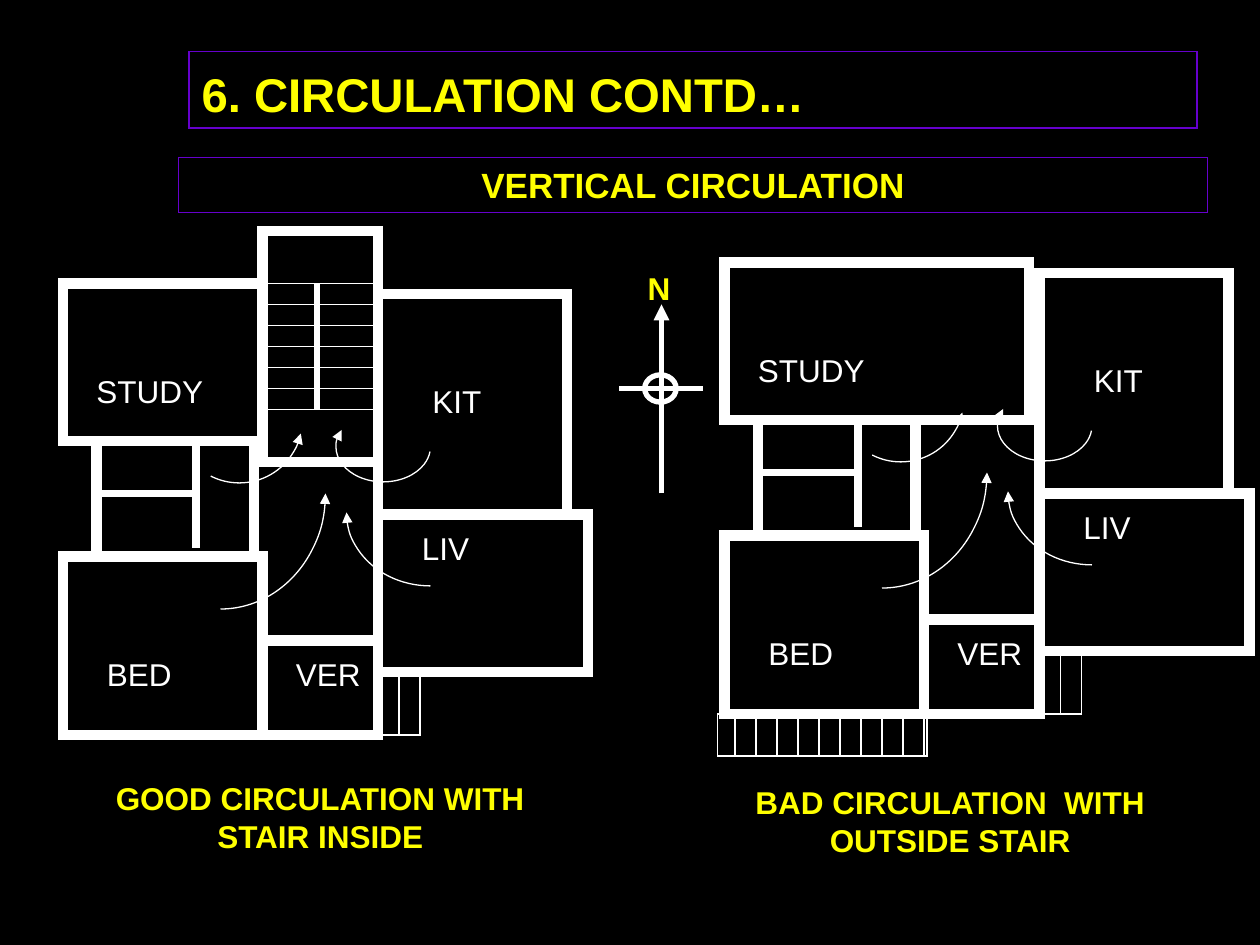
from dataclasses import dataclass

from lxml.etree import SubElement
from pptx import Presentation
from pptx.dml.color import RGBColor
from pptx.enum.shapes import MSO_CONNECTOR as Connector, MSO_SHAPE as Shape
from pptx.enum.text import MSO_ANCHOR as Anchor, MSO_AUTO_SIZE as AutoSize, PP_ALIGN as Align
from pptx.oxml.ns import qn
from pptx.util import Cm, Pt

BLACK = RGBColor(0x00, 0x00, 0x00)
WHITE = RGBColor(0xFF, 0xFF, 0xFF)
YELLOW = RGBColor(0xFF, 0xFF, 0x00)
PURPLE = RGBColor(0x66, 0x00, 0xCC)

MODULE = 2.54 / 12
WALL, PARTITION, BOLD_LINE, THIN_LINE = 6, 4.5, 3, 0.75
LABEL_HEIGHT = 4.8

ROOMS = [(3.2, 20, 15, 11), (0, 31, 19, 17), (30, 6, 18, 21),
         (30, 27, 20, 15), (19, 39, 11, 9)]
ROOM_LABELS = [("STUDY", 2, 12.8, 15), ("KIT", 34, 13.8, 8), ("BED", 3, 39.8, 11),
               ("VER", 21, 39.8, 11), ("LIV", 33, 27.8, 10)]
ROUTES = [((27, 19.8, 16, 14), 90, 180, "tailEnd"),
          ((10.8, 12, 12, 12), 12.5, 117, "headEnd"),
          ((26, 17.2, 9, 6.7), 6, 202, "tailEnd"),
          ((5, 14, 20, 22), 0, 90, "headEnd")]


@dataclass
class Box:
    """A region of the page whose parts are placed in plan modules."""
    page: object
    left: float
    top: float

    def place(self, left, top, width, height):
        """Turn a local rectangle in modules into page lengths."""
        return [Cm(MODULE * value)
                for value in (self.left + left, self.top + top, width, height)]


def style_line(item, color, weight, arrow=None):
    """Give an outline its colour, weight, square corners and arrowhead."""
    item.line.color.rgb = color
    item.line.width = Pt(weight)
    outline = item._element.spPr.find(qn("a:ln"))
    SubElement(outline, qn("a:miter"), lim="800000")
    if arrow:
        SubElement(outline, qn("a:" + arrow), type="triangle")


def add_outline(box, rect, weight, kind=Shape.RECTANGLE, arrow=None, color=WHITE):
    """Draw an unfilled shape."""
    shape = box.page.shapes.add_shape(kind, *box.place(*rect))
    shape.shadow.inherit = False
    shape.fill.background()
    style_line(shape, color, weight, arrow)
    return shape


def add_line(box, start, end, weight, arrow=None):
    """Draw a straight line between two local points."""
    ends = box.place(*start, 0, 0)[:2] + box.place(*end, 0, 0)[:2]
    line = box.page.shapes.add_connector(Connector.STRAIGHT, *ends)
    style_line(line, WHITE, weight, arrow)
    SubElement(line._element.spPr, qn("a:effectLst"))


def write(frame, text, size, color, bold=False, align=Align.LEFT, anchor=Anchor.TOP):
    """Set one formatted paragraph in a text frame."""
    frame.word_wrap = True
    frame.auto_size = AutoSize.NONE
    frame.vertical_anchor = anchor
    para = frame.paragraphs[0]
    para.alignment = align
    span = para.add_run()
    span.text = text
    span.font.name = "Arial"
    span.font.size = Pt(size)
    span.font.bold = bold
    span.font.color.rgb = color


def add_label(box, text, rect, color=WHITE, bold=False, align=Align.LEFT):
    """Add a wrapped text box."""
    label = box.page.shapes.add_textbox(*box.place(*rect))
    write(label.text_frame, text, 18, color, bold, align)


def build_heading(box):
    """Place the title and the subject band below it."""
    title = box.page.shapes.title
    title.left, title.top, title.width, title.height = box.place(1, 0, 96, 7.3)
    style_line(title, PURPLE, THIN_LINE)
    write(title.text_frame, "6. CIRCULATION CONTD…", 27, YELLOW, True, anchor=Anchor.BOTTOM)
    band = add_outline(box, (0, 10.1, 98, 5.25), THIN_LINE, color=PURPLE)
    band.fill.solid()
    band.fill.fore_color.rgb = BLACK
    write(band.text_frame, "VERTICAL CIRCULATION", 20, YELLOW, True, Align.CENTER)


def build_house(box, study_width):
    """Draw the rooms, porch steps and walking routes common to both plans."""
    for name, left, top, width in ROOM_LABELS:
        add_label(box, name, (left, top, width, LABEL_HEIGHT))
    for room in [(0, 5, study_width, 15), *ROOMS]:
        add_outline(box, room, WALL)
    for left in (30, 32):
        add_outline(box, (left, 42, 2, 6), THIN_LINE)
    for rect, start, end, arrow in ROUTES:
        arc = add_outline(box, rect, THIN_LINE, Shape.ARC, arrow)
        arc.adjustments[0], arc.adjustments[1] = start * 0.6, end * 0.6
    add_line(box, (12.7, 20.2), (12.7, 30.2), PARTITION)
    add_line(box, (13, 25), (3, 25), PARTITION)


def build_inside_stair(box):
    """Draw the stairwell between the study and the kitchen."""
    add_outline(box, (19, 0, 11, 22), WALL)
    for top in (5, 9, 11, 15):
        add_outline(box, (19, top, 11, 2), THIN_LINE)
    add_line(box, (24.2, 5), (24.2, 17), BOLD_LINE)


def build_outside_stair(box):
    """Draw the flight of steps outside the bedroom."""
    add_outline(box, (-0.7, 48, 20, 4), THIN_LINE)
    for left in range(1, 18, 4):
        add_outline(box, (left, 48, 2, 4), THIN_LINE)


def build_compass(box):
    """Draw the north arrow."""
    add_line(box, (4, 22), (4, 4), BOLD_LINE, "tailEnd")
    add_line(box, (0, 12), (8, 12), BOLD_LINE)
    add_outline(box, (2.4, 10.7, 3, 2.6), BOLD_LINE, Shape.OVAL)
    add_label(box, "N", (1.5, 0, 7, LABEL_HEIGHT), YELLOW, True)


def build_good_plan(box):
    """Build the plan with its stair inside, and its caption."""
    build_house(box, 19)
    build_inside_stair(box)
    add_label(box, "GOOD CIRCULATION WITH STAIR INSIDE", (3, 51.6, 43, 8.4),
              YELLOW, True, Align.CENTER)


def build_bad_plan(box):
    """Build the plan with its stair outside, and its caption."""
    build_house(box, 29)
    build_outside_stair(box)
    add_label(box, "BAD CIRCULATION  WITH OUTSIDE STAIR", (1, 54, 41, 8.4),
              YELLOW, True, Align.CENTER)


def main():
    """Build and save the deck."""
    deck = Presentation()
    deck.slide_width, deck.slide_height = Cm(25.4), Cm(19.05)
    page = deck.slides.add_slide(deck.slide_layouts[5])
    page.background.fill.solid()
    page.background.fill.fore_color.rgb = BLACK
    build_heading(Box(page, 17, 4.9))
    build_good_plan(Box(page, 6, 22))
    build_bad_plan(Box(page, 69, 20))
    build_compass(Box(page, 59, 25))
    deck.save("out.pptx")


if __name__ == "__main__":
    main()
